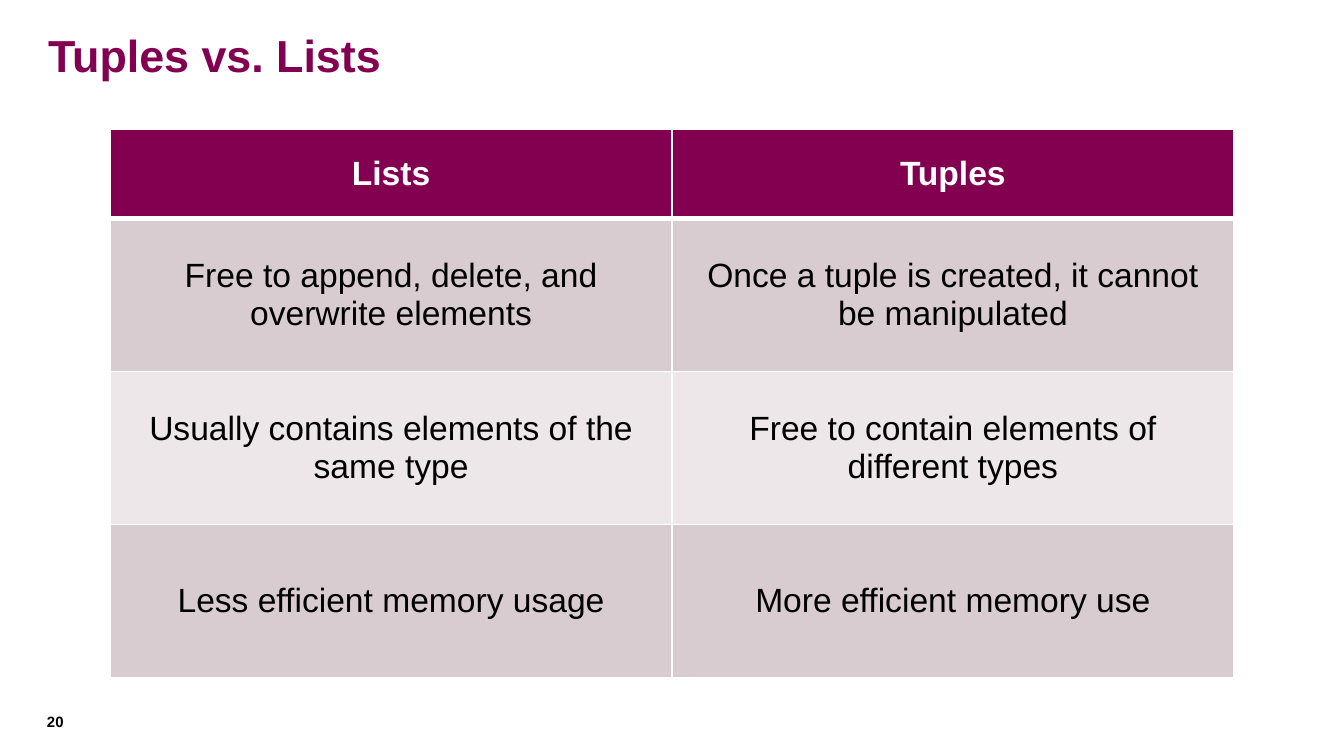
from lxml import etree
from pptx import Presentation
from pptx import util as u
from pptx.dml.color import RGBColor
from pptx.enum import text
from pptx.oxml import ns

COLORS = {
    "plum": "830051",
    "white": "FFFFFF",
    "black": "000000",
    "band_dark": "D9CCD0",
    "band_light": "EDE7E9",
}
FONT = "Arial"
PAGE_WIDTH = 10
PAGE_HEIGHT = PAGE_WIDTH * 9 / 16
HEADER_WEIGHT, BODY_WEIGHT = 0.66, 1.14  # relative row heights
COMPARISON = [
    ("Lists", "Tuples"),
    ("Free to append, delete, and overwrite elements",
     "Once a tuple is created, it cannot be manipulated"),
    ("Usually contains elements of the same type",
     "Free to contain elements of different types"),
    ("Less efficient memory usage", "More efficient memory use"),
]


def add_span(para, words, size, color, bold):
    span = para.add_run()
    span.text = words
    span.font.name = FONT
    span.font.size = u.Pt(size)
    span.font.bold = bold
    span.font.color.rgb = RGBColor.from_string(COLORS[color])


def add_label(page, box, words, size, color, margin):
    """Place one bold line at the top of the box; side margins are double the others."""
    frame = page.shapes.add_textbox(*map(u.Inches, box)).text_frame
    frame.word_wrap = True
    frame.vertical_anchor = text.MSO_ANCHOR.TOP
    frame.margin_left = frame.margin_right = u.Inches(2 * margin)
    frame.margin_top = frame.margin_bottom = u.Inches(margin)
    add_span(frame.paragraphs[0], words, size, color, True)


def set_borders(cell, widths):
    """Draw white borders; widths in points are left, right, top, bottom."""
    properties = cell._tc.get_or_add_tcPr()
    for index, (side, width) in enumerate(zip("LRTB", widths)):
        line = etree.Element(ns.qn(f"a:ln{side}"), w=str(u.Pt(width)))
        fill = etree.SubElement(line, ns.qn("a:solidFill"))
        etree.SubElement(fill, ns.qn("a:srgbClr"), val=COLORS["white"])
        properties.insert(index, line)


def add_comparison(page, box):
    width, height = box[2:]
    row_count, column_count = len(COMPARISON), len(COMPARISON[0])
    table = page.shapes.add_table(
        row_count, column_count, *map(u.Inches, box)).table
    table.horz_banding = False
    for column in table.columns:
        column.width = u.Inches(width / column_count)

    unit = height / (HEADER_WEIGHT + BODY_WEIGHT * (row_count - 1))
    for index, entries in enumerate(COMPARISON):
        is_header = index == 0
        table.rows[index].height = u.Inches(
            unit * (HEADER_WEIGHT if is_header else BODY_WEIGHT))
        band = "band_dark" if index % 2 else "band_light"
        for cell, words in zip(table.rows[index].cells, entries):
            cell.fill.solid()
            cell.fill.fore_color.rgb = RGBColor.from_string(
                COLORS["plum" if is_header else band])
            cell.vertical_anchor = text.MSO_ANCHOR.MIDDLE
            para = cell.text_frame.paragraphs[0]
            para.alignment = text.PP_ALIGN.CENTER
            add_span(para, words, 18, "white" if is_header else "black", is_header)
            set_borders(cell, (1, 1, 3 if index == 1 else 1, 3 if is_header else 1))


def main():
    deck = Presentation()
    deck.slide_width = u.Inches(PAGE_WIDTH)
    deck.slide_height = u.Inches(PAGE_HEIGHT)
    page = deck.slides.add_slide(deck.slide_layouts[6])

    def share(left, top, width, height):
        """Turn percentages of the slide's size into inches."""
        return (left * PAGE_WIDTH / 100, top * PAGE_HEIGHT / 100,
                width * PAGE_WIDTH / 100, height * PAGE_HEIGHT / 100)

    add_label(page, share(2.6, 2.84, 95.9, 9.78), "Tuples vs. Lists",
              24, "plum", 0.05)
    add_comparison(page, share(8.2, 17.15, 83.6, 72.53))
    add_label(page, share(3.5, 94.3, 4.3, 3.2), "20", 8, "black", 0)
    deck.save("out.pptx")


if __name__ == "__main__":
    main()
